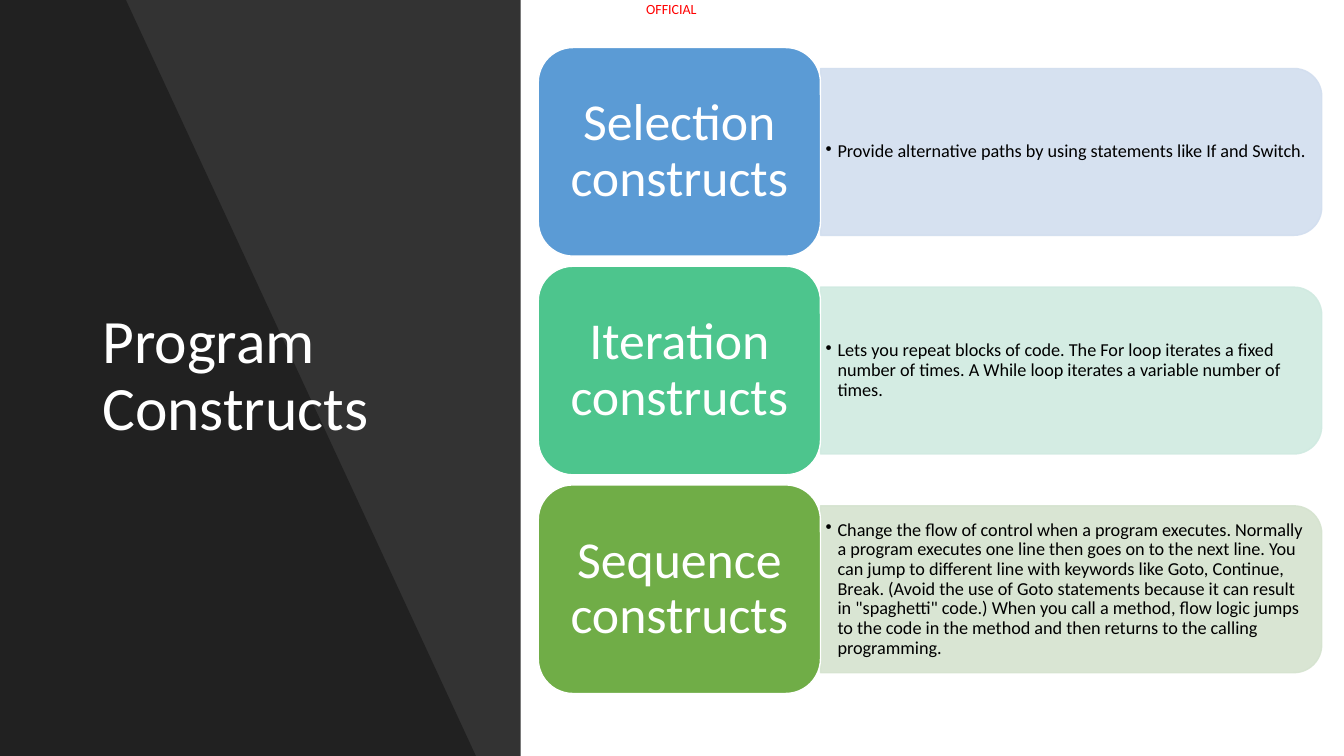
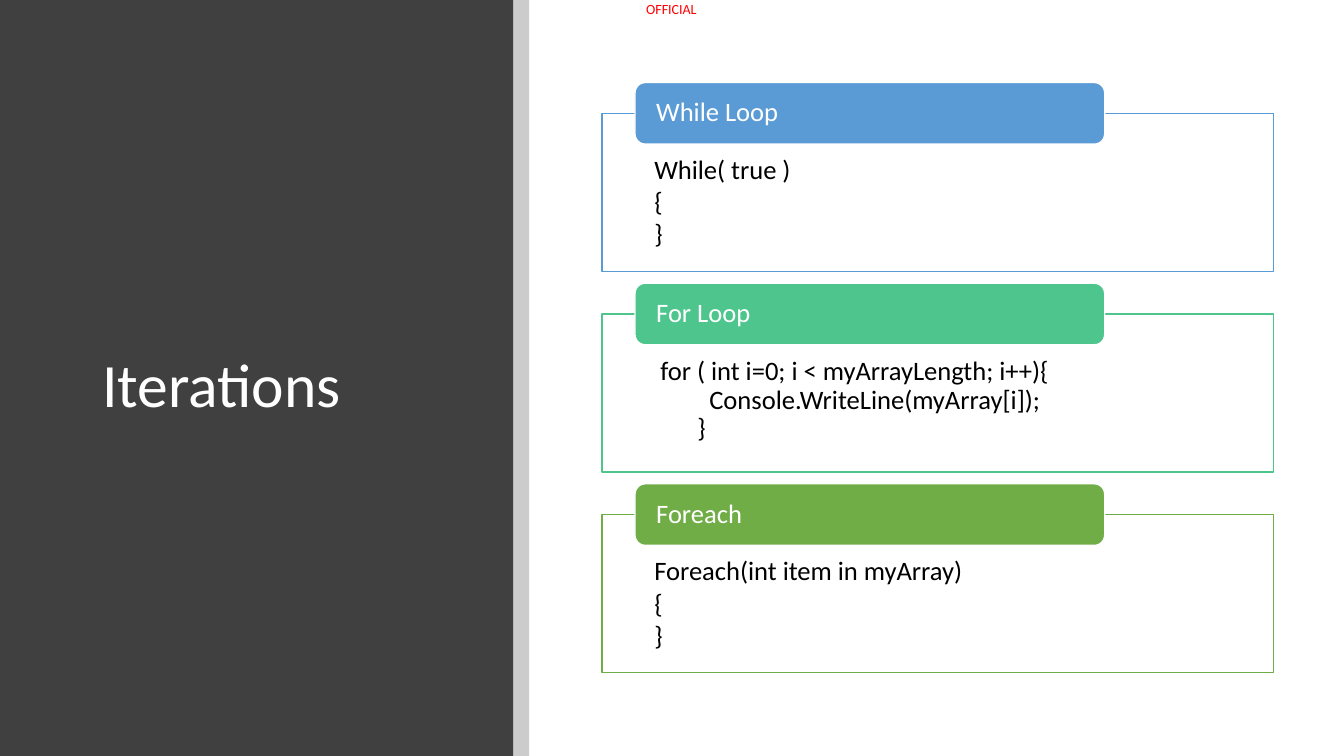
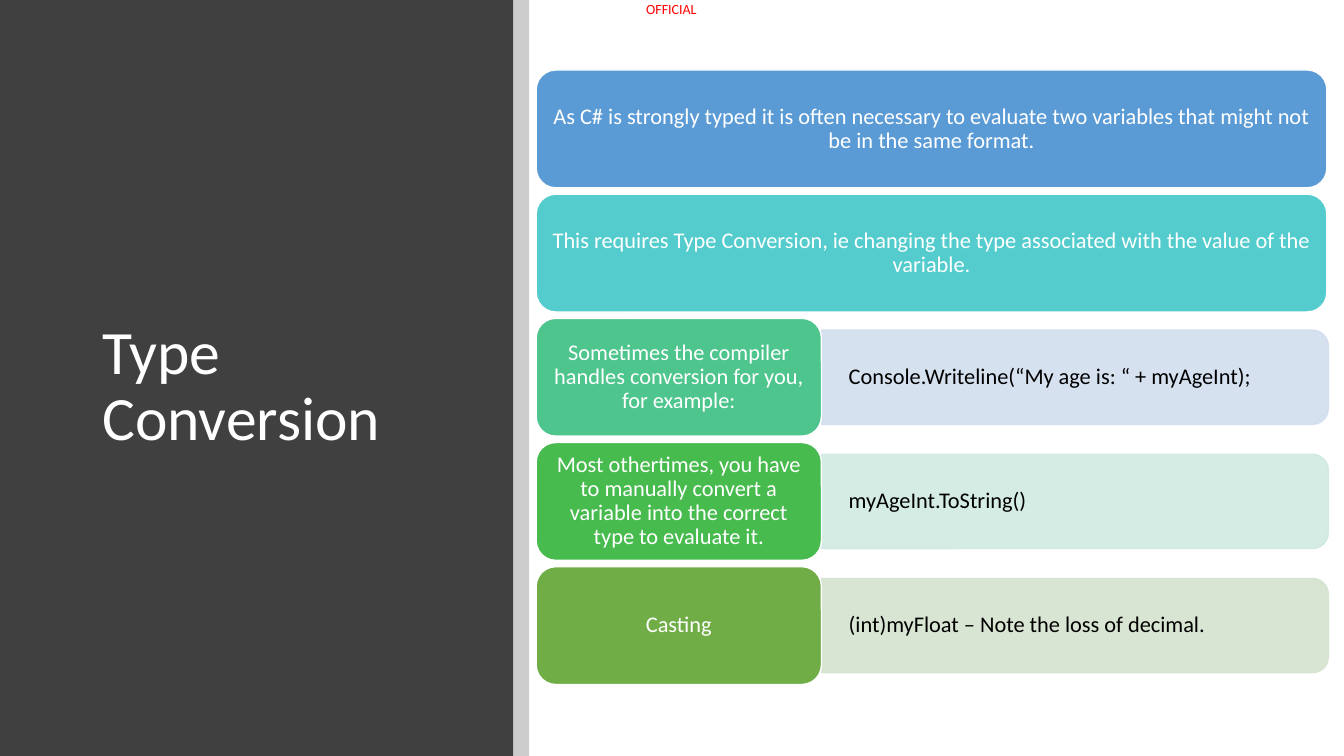
import pptx
import pptx.dml.color
import pptx.enum.shapes
import pptx.enum.text
import pptx.oxml
import pptx.oxml.ns
import pptx.util

Pt = pptx.util.Pt
SHAPE = pptx.enum.shapes.MSO_SHAPE
ALIGN = pptx.enum.text.PP_ALIGN
ANCHOR = pptx.enum.text.MSO_ANCHOR
NAMESPACE = pptx.oxml.ns.nsdecls("a")

COLORS = {
    "white": "FFFFFF", "black": "000000", "red": "FF0000", "charcoal": "404040",
    "blue": "5B9BD5", "teal": "54CCCD", "mint": "4DC58D", "leaf": "48BB4F", "green": "70AD47",
    "pale blue": "D2DEEF", "pale mint": "D0EAE1", "pale green": "D5E3CF",
}
WIDTH, HEIGHT = 960, 540
FONT = "Calibri"


def paint(shape, fill, line=None, opacity=100):
    shape.shadow.inherit = False
    shape.fill.solid()
    shape.fill.fore_color.rgb = pptx.dml.color.RGBColor.from_string(COLORS[fill])
    if line:
        shape.line.color.rgb = pptx.dml.color.RGBColor.from_string(COLORS[line])
        shape.line.width = Pt(1)
    else:
        shape.line.fill.background()
    if opacity < 100:
        for color in shape.element.spPr.iter(pptx.oxml.ns.qn("a:srgbClr")):
            color.append(pptx.oxml.parse_xml(f'<a:alpha {NAMESPACE} val="{opacity * 1000}"/>'))


def write(box, text, size, color, margins, align=ALIGN.LEFT, anchor=ANCHOR.MIDDLE,
          wrap=True, spacing=0.9, after=0, indent=0, bullet=None):
    frame = box.text_frame
    frame.text = text
    left, top, right, bottom = [Pt(margin) for margin in margins]
    frame_format = {"word_wrap": wrap, "vertical_anchor": anchor, "margin_left": left,
                    "margin_top": top, "margin_right": right, "margin_bottom": bottom}
    for name, value in frame_format.items():
        setattr(frame, name, value)
    for para in frame.paragraphs:
        for name, value in {"alignment": align, "line_spacing": spacing, "space_after": Pt(after)}.items():
            setattr(para, name, value)
        if indent:
            properties = para._p.get_or_add_pPr()
            properties.set("marL", str(Pt(indent)))
            properties.set("indent", str(-Pt(indent)))
            if bullet:
                properties.append(pptx.oxml.parse_xml(f'<a:buChar {NAMESPACE} char="{bullet}"/>'))
        for span in para.runs:
            for name, value in {"name": FONT, "size": Pt(size)}.items():
                setattr(span.font, name, value)
            span.font.color.rgb = pptx.dml.color.RGBColor.from_string(COLORS[color])


deck = pptx.Presentation()
deck.slide_width, deck.slide_height = Pt(WIDTH), Pt(HEIGHT)

pages = []
titles = [("Program Constructs", 150.5, 258, 238), ("Iterations", 64, 263, 426), ("Type Conversion", 64, 263, 426)]
for number, (title, top, width, height) in enumerate(titles):
    page = deck.slides.add_slide(deck.slide_layouts[6])
    pages.append(page)
    label = page.shapes.add_textbox(Pt(461.5), Pt(0), Pt(38), Pt(12))
    write(label, "OFFICIAL", 10, "red", (0, 0, 0, 0), anchor=ANCHOR.TOP, wrap=False, spacing=1.0)
    if number == 0:
        bands = [(0, 372, "black", 80)]
    else:
        bands = [(0, 366.5, "charcoal", 100), (366.5, 11.5, "black", 20)]
    for left, band_width, fill, opacity in bands:
        band = page.shapes.add_shape(SHAPE.RECTANGLE, Pt(left), Pt(0), Pt(band_width), Pt(HEIGHT))
        paint(band, fill, opacity=opacity)
    if number == 0:
        outline = page.shapes.build_freeform(0, 0, scale=Pt(1))
        outline.add_line_segments([(90, 0), (340, HEIGHT), (0, HEIGHT)], close=True)
        paint(outline.convert_to_shape(), "black", opacity=35)
    heading = page.shapes.add_textbox(Pt(66), Pt(top), Pt(width), Pt(height))
    write(heading, title, 44, "white", (7.2, 3.6, 7.2, 3.6))

constructs = [
    ("Selection constructs", "blue", "pale blue",
     "Provide alternative paths by using statements like If and Switch."),
    ("Iteration constructs", "mint", "pale mint",
     "Lets you repeat blocks of code. The For loop iterates a fixed number of times. "
     "A While loop iterates a variable number of times."),
    ("Sequence constructs", "green", "pale green",
     "Change the flow of control when a program executes. Normally a program executes one line "
     "then goes on to the next line. You can jump to different line with keywords like Goto, "
     "Continue, Break. (Avoid the use of Goto statements because it can result in \"spaghetti\" "
     "code.) When you call a method, flow logic jumps to the code in the method and then returns "
     "to the calling programming."),
]
conversions = [
    ("As C# is strongly typed it is often necessary to evaluate two variables that might not be "
     "in the same format.", "blue", None, None),
    ("This requires Type Conversion, ie changing the type associated with the value of the "
     "variable.", "teal", None, None),
    ("Sometimes the compiler handles conversion for you, for example:", "mint", "pale blue",
     "Console.Writeline(“My age is: “ + myAgeInt);"),
    ("Most othertimes, you have to manually convert a variable into the correct type to evaluate "
     "it.", "leaf", "pale mint", "myAgeInt.ToString()"),
    ("Casting", "green", "pale green", "(int)myFloat – Note the loss of decimal."),
]
grids = [
    dict(page=pages[0], rows=constructs, left=384.5, top=34, step=156.2, width=201.6, height=149,
         panel=358, sizes=(37, 13), margins=(10.8, 5.8), inset=3.6, indent=8.6, bullet="•"),
    dict(page=pages[2], rows=conversions, left=383, top=50, step=88.7, width=203.8, height=84.2,
         panel=362, sizes=(16, 16), margins=(5, 2.2), inset=19.4, indent=0, bullet=None),
]
for grid in grids:
    shapes = grid["page"].shapes
    panel_left = grid["left"] + grid["width"]
    panel_width, panel_height = grid["panel"], 0.8 * grid["height"]
    side, edge = grid["margins"]
    for row, (caption, fill, pale, detail) in enumerate(grid["rows"]):
        top = grid["top"] + row * grid["step"]
        middle = top + grid["height"] / 2
        block_width = grid["width"] if detail else grid["width"] + panel_width - 1
        if detail:
            panel = shapes.add_shape(
                SHAPE.ROUND_2_SAME_RECTANGLE, Pt(panel_left + (panel_width - panel_height) / 2),
                Pt(middle - panel_width / 2), Pt(panel_height), Pt(panel_width))
            panel.rotation = 90
            paint(panel, pale, pale, 90)
            box = shapes.add_textbox(Pt(panel_left), Pt(middle - panel_height / 2),
                                     Pt(panel_width), Pt(panel_height))
            write(box, detail, grid["sizes"][1], "black",
                  (grid["inset"], 2, grid["inset"] + 0.05 * panel_height, 2),
                  indent=grid["indent"], bullet=grid["bullet"])
        block = shapes.add_shape(SHAPE.ROUNDED_RECTANGLE, Pt(grid["left"]), Pt(top),
                                 Pt(block_width), Pt(grid["height"]))
        paint(block, fill, "white")
        write(block, caption, grid["sizes"][0], "white", (side, edge, side, edge), align=ALIGN.CENTER)

loops = [
    ("While Loop", "blue", "While( true )\n{\n}"),
    ("For Loop", "mint",
     " for ( int i=0; i < myArrayLength; i++){\v      Console.WriteLine(myArray[i]);\v    }"),
    ("Foreach", "green", "Foreach(int item in myArray)\n{\n}"),
]
for row, (caption, color, code) in enumerate(loops):
    top = 59 + row * 143.3
    listing = pages[1].shapes.add_shape(SHAPE.RECTANGLE, Pt(430), Pt(top + 22), Pt(479.5), Pt(113))
    paint(listing, "white", color)
    write(listing, code, 19, "black", (37.4, 31, 37.4, 10.8), anchor=ANCHOR.TOP, after=2.4, indent=13.7)
    tab = pages[1].shapes.add_shape(SHAPE.ROUNDED_RECTANGLE, Pt(453.6), Pt(top), Pt(335.5), Pt(44))
    paint(tab, color, "white")
    write(tab, caption, 19, "white", (13, 0, 13, 0))

deck.save("out.pptx")
